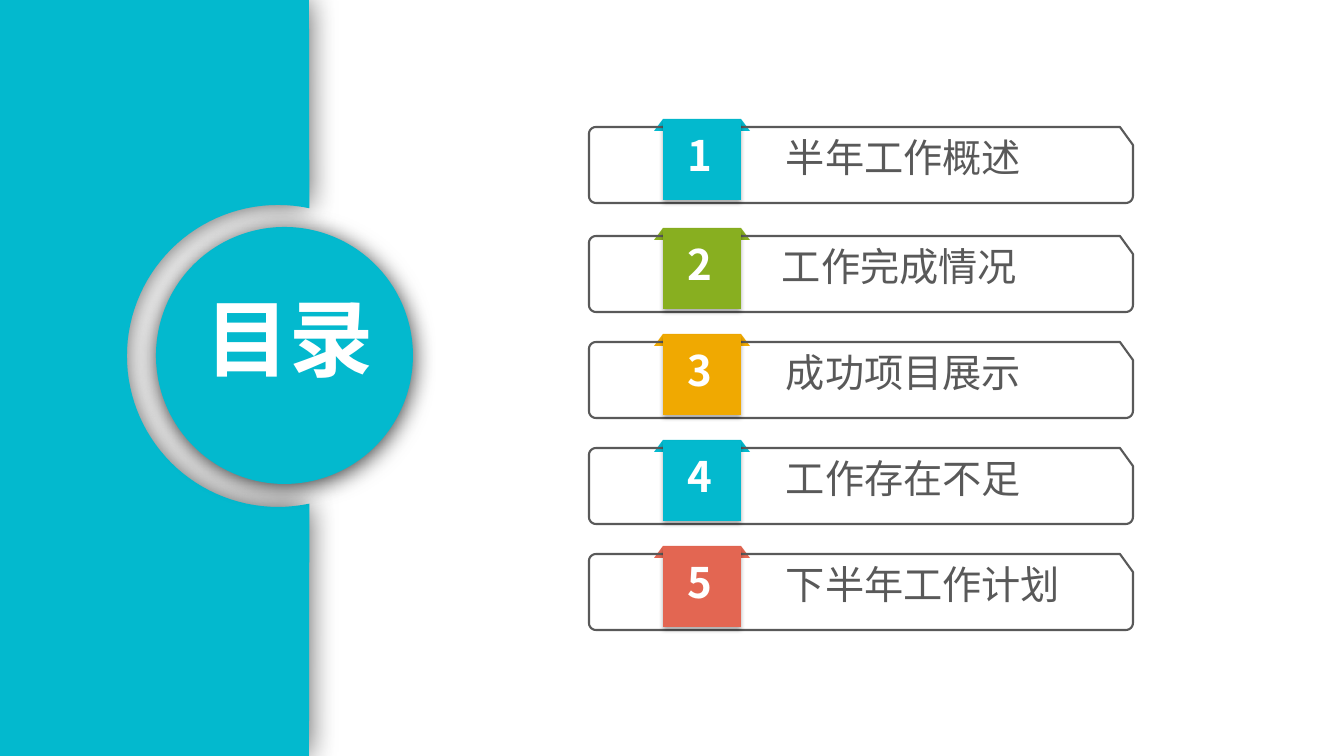
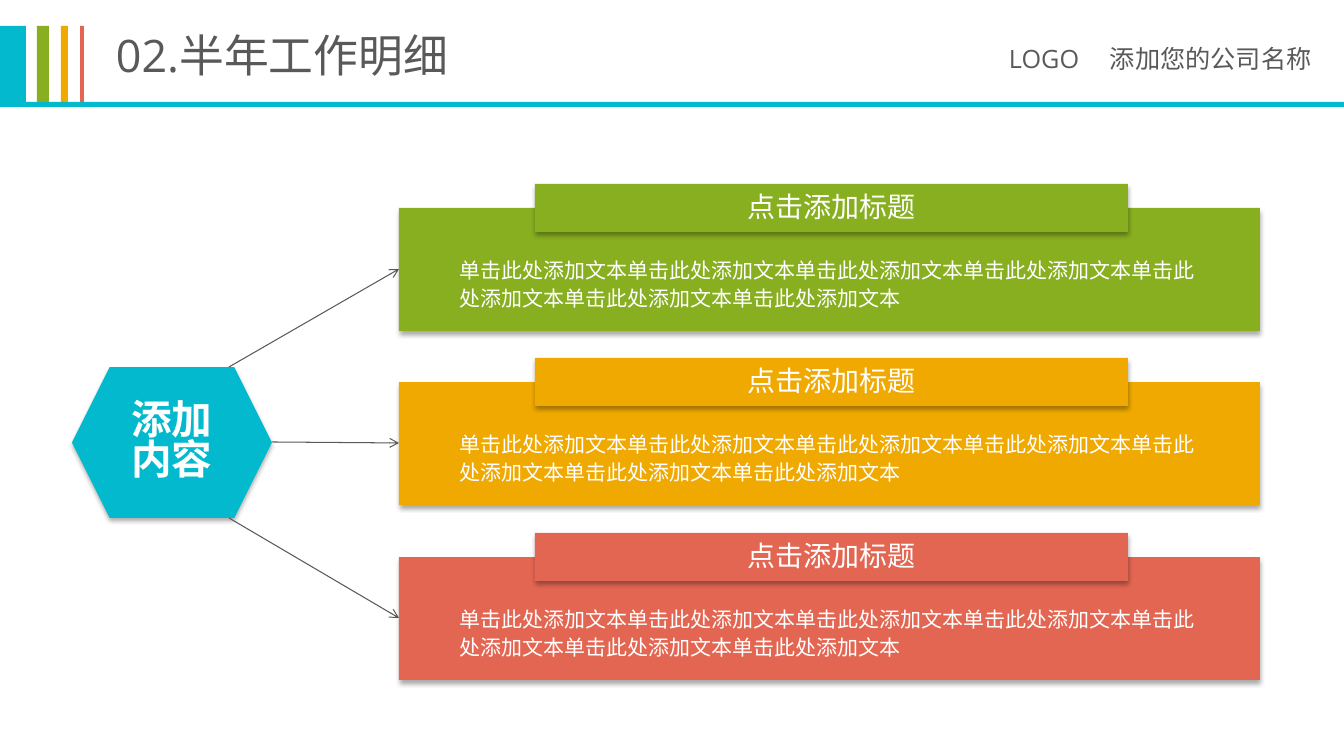
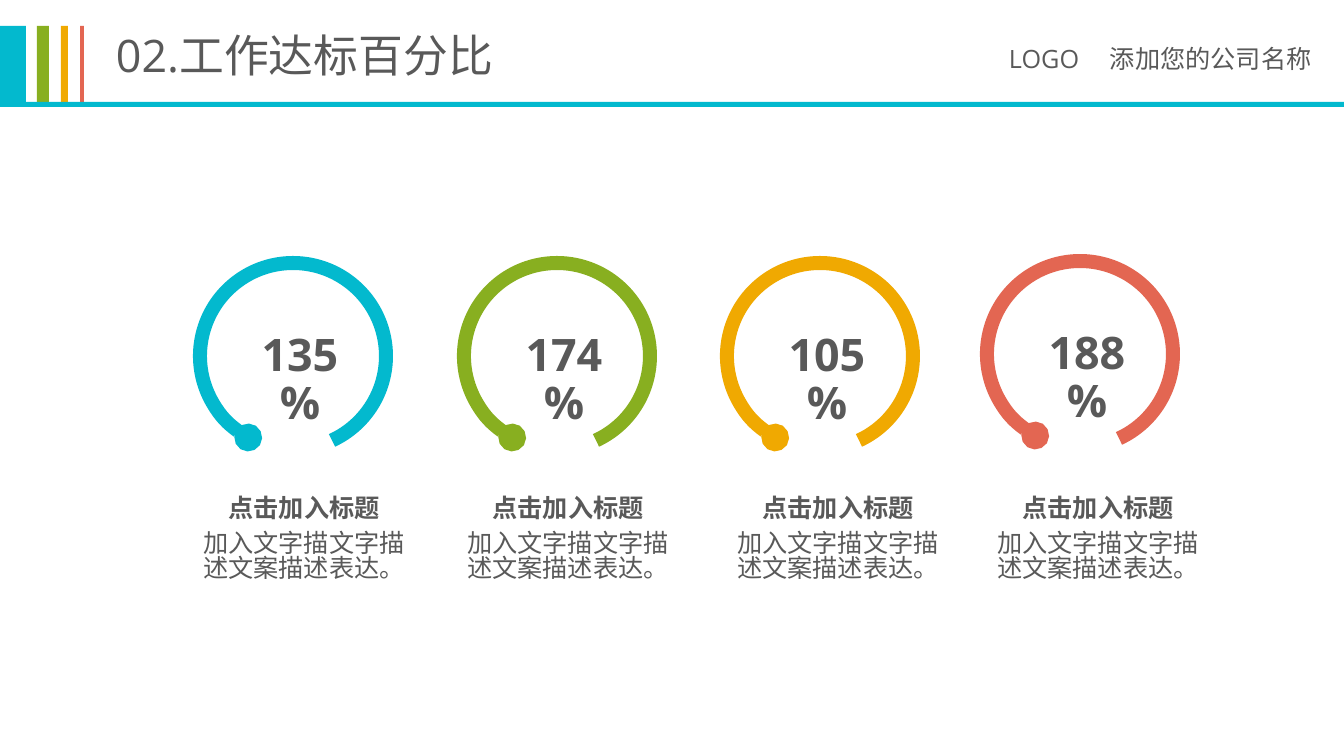
import math

import pptx
import pptx.dml.color
import pptx.enum.shapes
import pptx.enum.text
import pptx.oxml.ns
import pptx.util
from lxml import etree

SHAPE = pptx.enum.shapes.MSO_SHAPE
ALIGN = pptx.enum.text.PP_ALIGN
ANCHOR = pptx.enum.text.MSO_ANCHOR
qn = pptx.oxml.ns.qn

EMU_PER_PX = 12192000 / 1344
WIDTH, HEIGHT = 1344, 756
CJK, LATIN = "Noto Sans CJK SC", "Open Sans"
COLORS = {
    "teal": "03B9CE",
    "green": "88AF20",
    "amber": "F0A901",
    "red": "E36652",
    "grey": "595959",
    "white": "FFFFFF",
    "black": "000000",
}
# Shadows: opacity in %, blur and distance in points, direction in degrees
PANEL_SHADOW = (70, 22, 1, 180)
DISC_SHADOW = (80, 17, 2.2, 90)
CARD_SHADOW = (32, 3.5, 2.2, 90)


def px(n):
    return pptx.util.Emu(round(n * EMU_PER_PX))


def rgb(name):
    return pptx.dml.color.RGBColor.from_string(COLORS[name])


def add_xml(parent, tag, **attributes):
    return etree.SubElement(parent, qn(tag), {k: str(v) for k, v in attributes.items()})


def style(sp, fill=None, line=None, width=1.5, shadow=None):
    """Set fill, outline and shadow; whatever is not named is switched off."""
    if fill:
        sp.fill.solid()
        sp.fill.fore_color.rgb = rgb(fill)
    else:
        sp.fill.background()
    if line:
        sp.line.color.rgb = rgb(line)
        sp.line.width = pptx.util.Pt(width)
    else:
        sp.line.fill.background()
    sp.shadow.inherit = False
    if shadow:
        opacity, blur, dist, angle = shadow
        outer = add_xml(sp.element.spPr.find(qn("a:effectLst")), "a:outerShdw",
                        blurRad=pptx.util.Pt(blur), dist=pptx.util.Pt(dist),
                        dir=angle * 60000, algn="ctr", rotWithShape=0)
        color = add_xml(outer, "a:srgbClr", val=COLORS["black"])
        add_xml(color, "a:alpha", val=opacity * 1000)
    return sp


def add_shape(s, kind, x, y, w, h, **look):
    return style(s.shapes.add_shape(kind, px(x), px(y), px(w), px(h)), **look)


def add_outline(s, points, **look):
    points = [(px(x), px(y)) for x, y in points]
    builder = s.shapes.build_freeform(*points[0], scale=1.0)
    builder.add_line_segments(points[1:], close=True)
    return style(builder.convert_to_shape(), **look)


def arc_points(cx, cy, radius, start, end, steps):
    """Points on a circle, with angles in degrees clockwise from the right."""
    angles = [math.radians(start + (end - start) * i / steps) for i in range(steps + 1)]
    return [(cx + radius * math.cos(a), cy + radius * math.sin(a)) for a in angles]


def write(sp, text, size, color="grey", bold=False, align=ALIGN.LEFT, anchor=ANCHOR.TOP,
          inset=(10, 5), spacing=0.9, latin=CJK):
    tf = sp.text_frame
    tf.word_wrap = True
    tf.auto_size = pptx.enum.text.MSO_AUTO_SIZE.NONE
    tf.vertical_anchor = anchor
    tf.margin_left = tf.margin_right = px(inset[0])
    tf.margin_top = tf.margin_bottom = px(inset[1])
    tf.text = text
    p = tf.paragraphs[0]
    p.alignment = align
    p.line_spacing = spacing
    for r in p.runs:
        r.font.size = pptx.util.Pt(size)
        r.font.bold = bold
        r.font.color.rgb = rgb(color)
        r.font.name = latin
        add_xml(r._r.get_or_add_rPr(), "a:ea", typeface=CJK)
    return p


def add_text(s, x, y, w, h, text, size, **look):
    return write(s.shapes.add_textbox(px(x), px(y), px(w), px(h)), text, size, **look)


def add_title(s, x, y, w, h, text, size, **look):
    title = s.shapes.title
    title.left, title.top, title.width, title.height = px(x), px(y), px(w), px(h)
    write(title, text, size, **look)
    return title


def add_arrow(s, x1, y1, x2, y2):
    c = s.shapes.add_connector(pptx.enum.shapes.MSO_CONNECTOR.STRAIGHT,
                               px(x1), px(y1), px(x2), px(y2))
    c.line.color.rgb = rgb("grey")
    c.line.width = pptx.util.Pt(0.75)
    add_xml(c.element.spPr.find(qn("a:ln")), "a:tailEnd", type="arrow")
    add_xml(c.element.spPr, "a:effectLst")


def new_slide(prs):
    return prs.slides.add_slide(prs.slide_layouts.get_by_name("Title Only"))


def content_slide(prs, title):
    """Slide with the shared header: title, colour bars, company name and rule."""
    s = new_slide(prs)
    add_title(s, 106, 29, 516, 64, title, 32, latin=LATIN)
    for x, w, color in [(0, 26, "teal"), (37, 12, "green"), (61, 7, "amber"), (80, 4, "red")]:
        add_shape(s, SHAPE.RECTANGLE, x, 26, w, 76, fill=color)
    p = add_text(s, 999, 42, 345, 40, "LOGO\t添加您的公司名称", 18, latin=LATIN)
    tabs = add_xml(p._p.get_or_add_pPr(), "a:tabLst")
    add_xml(tabs, "a:tab", pos=px(101), algn="l")
    add_shape(s, SHAPE.RECTANGLE, 0, 102, WIDTH, 5, fill="teal")
    return s


def add_agenda_row(s, number, top, color, label, label_x):
    add_outline(s, [(663, top), (741, top), (750, top + 12), (654, top + 12)], fill=color)
    left, right, upper, lower, r = 589, 1133, top + 8, top + 84, 7
    frame = [(1120, upper), (right, upper + 18)]
    frame += arc_points(right - r, lower - r, r, 0, 90, 6)
    frame += arc_points(left + r, lower - r, r, 90, 180, 6)
    frame += arc_points(left + r, upper + r, r, 180, 270, 6)
    add_outline(s, frame, line="grey")
    add_shape(s, SHAPE.RECTANGLE, 663, top + 1, 78, 80, fill=color, shadow=CARD_SHADOW)
    add_text(s, label_x, top + 16, 300, 55, label, 28, inset=(7, 4))
    add_text(s, 681, top + 12, 53, 58, str(number), 30, color="white", bold=True, inset=(7, 4))


def agenda_slide(prs):
    s = new_slide(prs)
    notch = arc_points(278, 356, 151, 282, 78, 68)
    add_outline(s, [(0, 0), (309, 0), *notch, (309, HEIGHT), (0, HEIGHT)],
                fill="teal", shadow=PANEL_SHADOW)
    add_shape(s, SHAPE.OVAL, 156, 227, 257, 257, fill="teal", shadow=DISC_SHADOW)
    title = add_title(s, 192, 293, 195, 112, "目录", 60, color="white", bold=True,
                      align=ALIGN.CENTER)
    s.shapes.element.append(title.element)  # bring the title in front of the disc
    rows = [
        (119, "teal", "半年工作概述", 779),
        (228, "green", "工作完成情况", 775),
        (334, "amber", "成功项目展示", 779),
        (440, "teal", "工作存在不足", 779),
        (546, "red", "下半年工作计划", 779),
    ]
    for number, row in enumerate(rows, 1):
        add_agenda_row(s, number, *row)


def add_card(s, top, color):
    add_shape(s, SHAPE.RECTANGLE, 399, top + 24, 861, 123, fill=color, shadow=CARD_SHADOW)
    tab = add_shape(s, SHAPE.RECTANGLE, 535, top, 593, 48, fill=color, shadow=CARD_SHADOW)
    write(tab, "点击添加标题", 20, color="white", align=ALIGN.CENTER, anchor=ANCHOR.MIDDLE)
    add_text(s, 449, top + 67, 765, 74, "单击此处添加文本" * 7, 15, color="white",
             inset=(11, 5), spacing=1.08)


def detail_slide(prs):
    s = content_slide(prs, "02.半年工作明细")
    hexagon = add_shape(s, SHAPE.HEXAGON, 72, 367, 200, 151, fill="teal", shadow=CARD_SHADOW)
    write(hexagon, "添加内容", 29, color="white", bold=True, align=ALIGN.CENTER,
          anchor=ANCHOR.MIDDLE, inset=(11, 5), spacing=0.83)
    cards = [(184, "green", 229, 367), (358, "amber", 272, 442), (533, "red", 229, 518)]
    for top, color, arrow_x, arrow_y in cards:
        add_arrow(s, arrow_x, arrow_y, 399, top + 85)
        add_card(s, top, color)


def add_gauge(s, cx, top, color, value, text_cx):
    arc = add_shape(s, SHAPE.ARC, cx - 93, top, 186, 186, line=color, width=10)
    # Angles of 118.8 and 65.2 degrees, in the adjustment unit of 5/3 degree
    arc.adjustments[0], arc.adjustments[1] = 71.28, 39.12
    add_xml(arc.element.spPr.find(qn("a:ln")), "a:headEnd", type="oval", w="sm", len="sm")
    add_text(s, cx - 61, top + 66, 136, 64, value, 32, bold=True, align=ALIGN.CENTER,
             inset=(20, 5), spacing=0.88, latin=LATIN)
    add_text(s, text_cx - 87, 491, 174, 58, "点击加入标题", 18, bold=True, align=ALIGN.CENTER)
    add_text(s, text_cx - 112, 527, 224, 72, "加入文字描文字描述文案描述表达。", 18,
             align=ALIGN.CENTER, spacing=0.83)


def percent_slide(prs):
    s = content_slide(prs, "02.工作达标百分比")
    gauges = [
        (293, 263, "teal", "135%", 304),
        (557, 263, "green", "174%", 568),
        (820, 263, "amber", "105%", 838),
        (1080, 261, "red", "188%", 1098),
    ]
    for gauge in gauges:
        add_gauge(s, *gauge)


def main():
    prs = pptx.Presentation()
    prs.slide_width, prs.slide_height = px(WIDTH), px(HEIGHT)
    agenda_slide(prs)
    detail_slide(prs)
    percent_slide(prs)
    prs.save("out.pptx")


if __name__ == "__main__":
    main()
